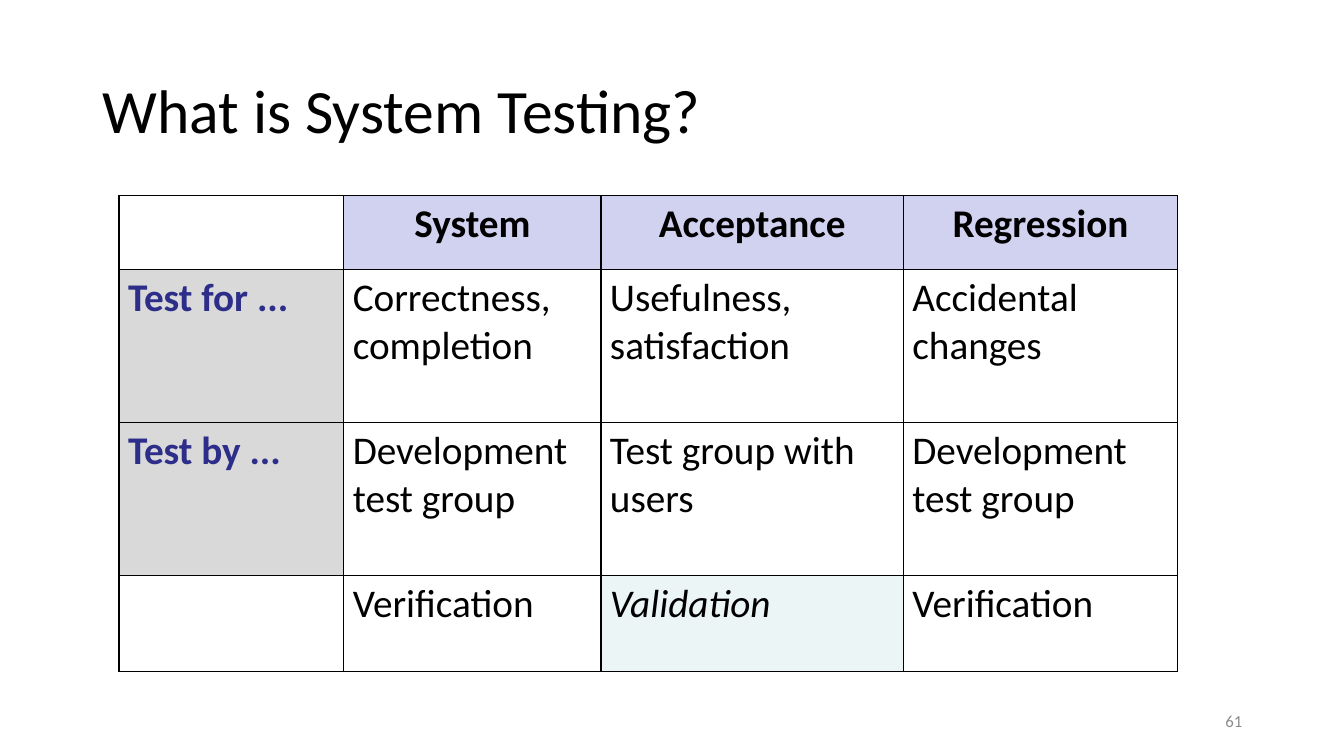
from lxml import etree
from pptx import Presentation
from pptx.dml.color import RGBColor
from pptx.enum import text
from pptx.oxml import ns
from pptx.util import Inches, Pt


def color(hex_value):
    return RGBColor.from_string(hex_value)


def add_line(slide, box, wording, size, hex_value, align):
    frame = slide.shapes.add_textbox(*[Inches(v) for v in box]).text_frame
    frame.word_wrap = True
    frame.vertical_anchor = text.MSO_ANCHOR.MIDDLE
    line = frame.paragraphs[0]
    line.text = wording
    line.alignment = align
    line.font.name = "Calibri"
    line.font.size = Pt(size)
    line.font.color.rgb = color(hex_value)
    return line


deck = Presentation()
deck.slide_width = Inches(13.33)
deck.slide_height = Inches(7.5)
slide = deck.slides.add_slide(deck.slide_layouts[6])

title = add_line(slide, (0.92, 0.4, 11.5, 1.45), "What is System Testing?",
                 44, "000000", text.PP_ALIGN.LEFT)
title.line_spacing = 0.9

comparison = [
    ["", "System", "Acceptance", "Regression"],
    ["Test for ...", "Correctness, completion", "Usefulness, satisfaction", "Accidental changes"],
    ["Test by ...", "Development test group", "Test group with users", "Development test group"],
    ["", "Verification", "Validation", "Verification"],
]
column_widths = [2.23, 2.55, 3, 2.72]
row_heights = [0.73, 1.52, 1.52, 0.95]

table = slide.shapes.add_table(4, 4, Inches(1.18), Inches(1.94),
                               Inches(10.51), Inches(4.72)).table
table.first_row = False
table.horz_banding = False
for column, width in zip(table.columns, column_widths):
    column.width = Inches(width)
for row, height in zip(table.rows, row_heights):
    row.height = Inches(height)

for r, entries in enumerate(comparison):
    for c, entry in enumerate(entries):
        cell = table.cell(r, c)
        cell.margin_left = cell.margin_right = Inches(0.09)
        cell.margin_top = cell.margin_bottom = Inches(0.05)
        properties = cell._tc.get_or_add_tcPr()
        for side in ("lnL", "lnR", "lnT", "lnB"):
            border = etree.SubElement(properties, ns.qn("a:" + side), w=str(Pt(1)))
            ink = etree.SubElement(border, ns.qn("a:solidFill"))
            etree.SubElement(ink, ns.qn("a:srgbClr"), val="000000")

        is_header = r == 0
        is_row_label = c == 0
        is_validation = entry == "Validation"
        if not entry or not (is_header or is_row_label or is_validation):
            cell.fill.background()
        else:
            cell.fill.solid()
            shade = "D1D1F0" if is_header else "D9D9D9" if is_row_label else "DAEDEF"
            cell.fill.fore_color.rgb = color(shade)
        if is_validation:
            tint = properties.find(ns.qn("a:solidFill")).find(ns.qn("a:srgbClr"))
            etree.SubElement(tint, ns.qn("a:alpha"), val="51000")

        if entry:
            cell.text = entry
            wording = cell.text_frame.paragraphs[0]
            wording.alignment = text.PP_ALIGN.CENTER if is_header else text.PP_ALIGN.LEFT
            wording.font.name = "Calibri"
            wording.font.size = Pt(28)
            wording.font.bold = is_header or is_row_label
            wording.font.italic = is_validation
            wording.font.color.rgb = color("2D2D8A" if is_row_label else "000000")

add_line(slide, (9.42, 6.95, 3, 0.4), "61", 12, "8C8C8C", text.PP_ALIGN.RIGHT)

deck.save("out.pptx")
